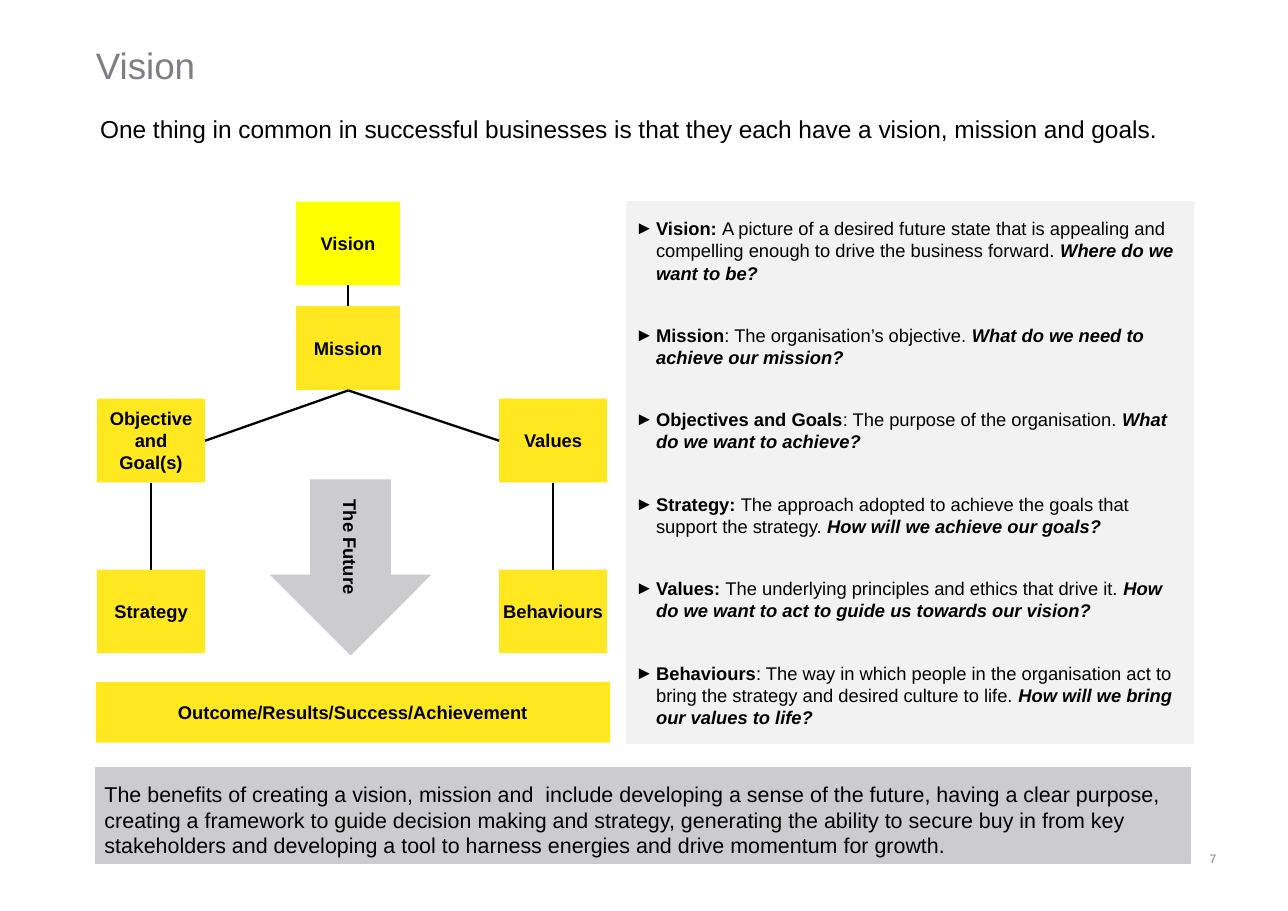
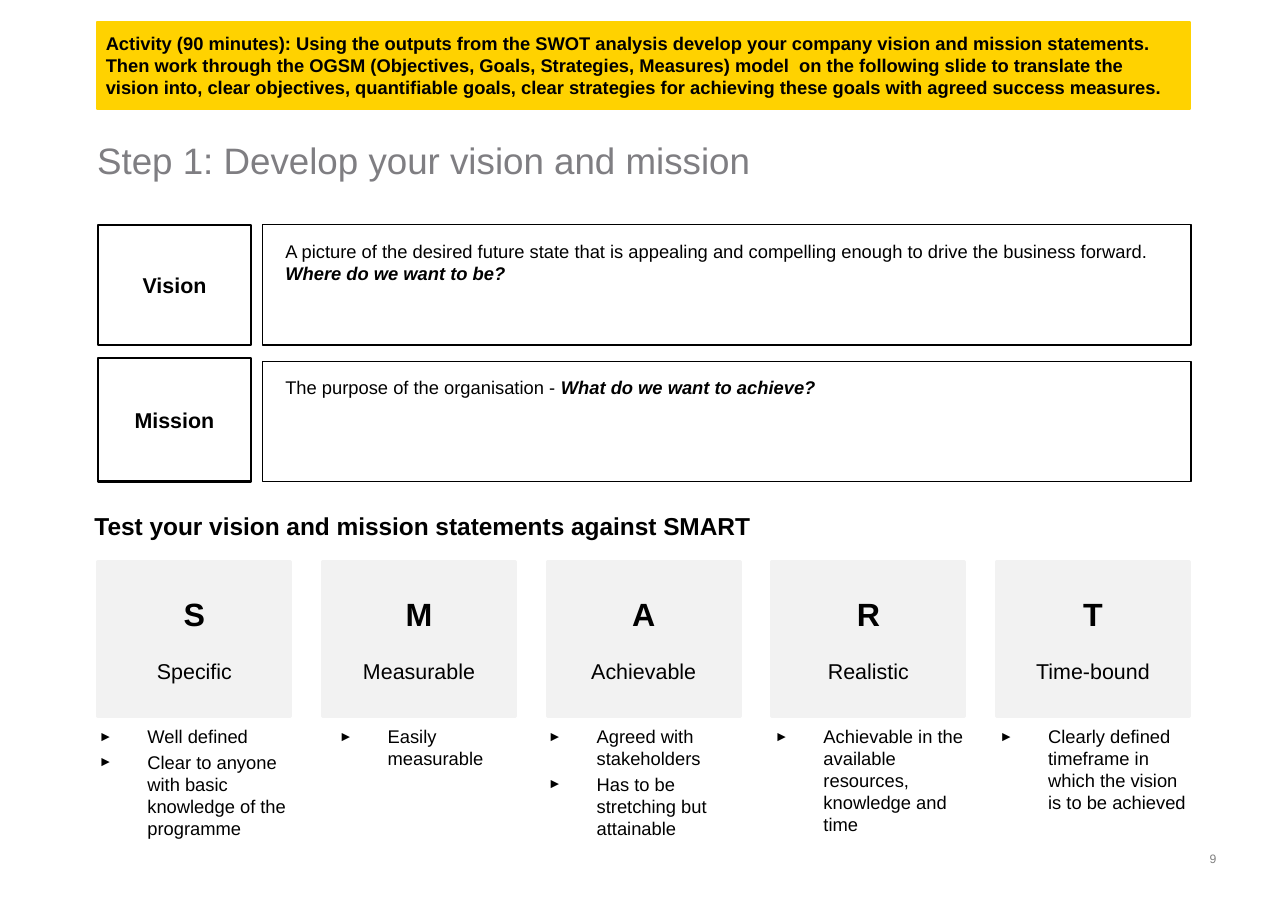
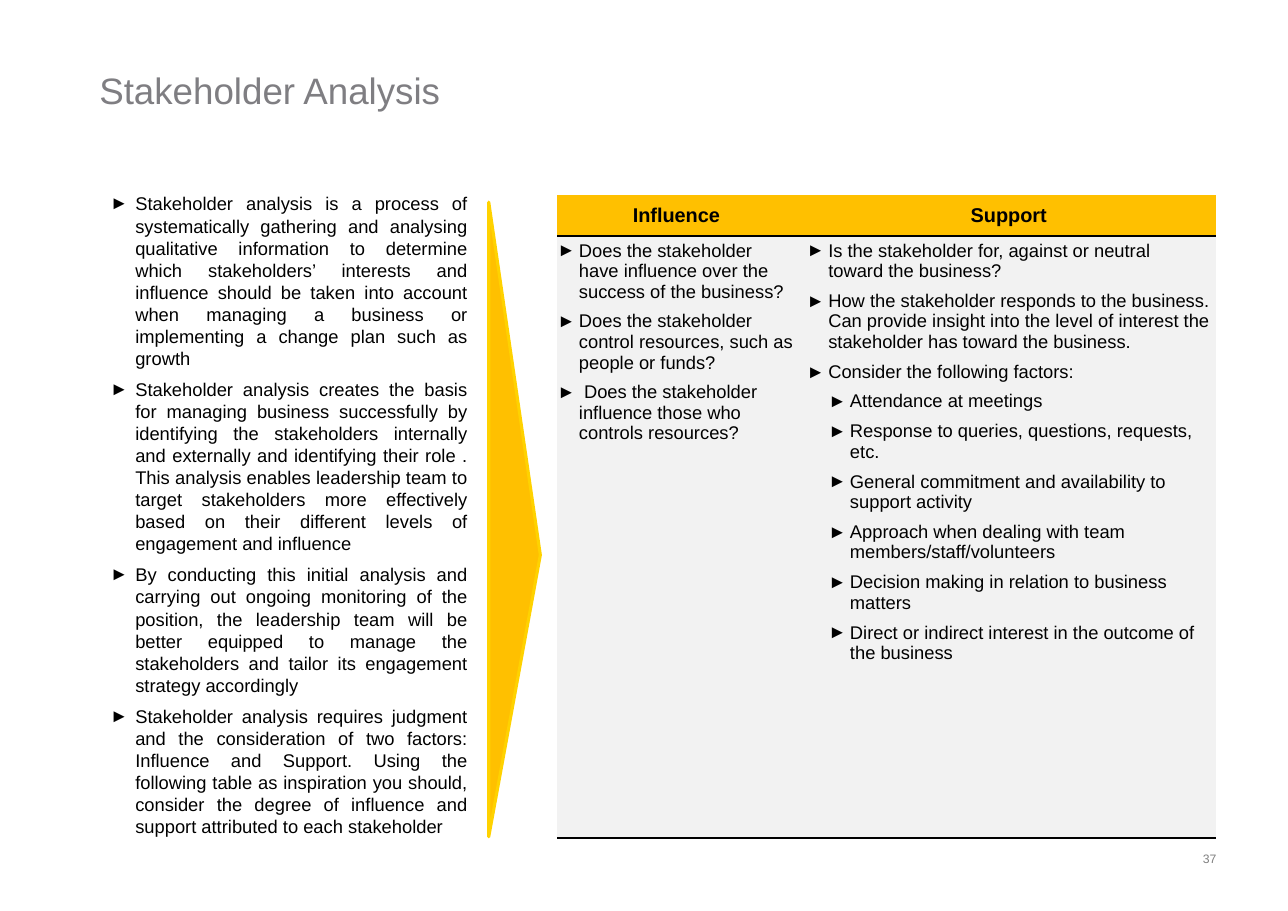
from lxml.etree import SubElement
from pptx import Presentation
from pptx.dml.color import RGBColor
from pptx.enum.shapes import MSO_CONNECTOR as LINK, MSO_SHAPE as KIND
from pptx.enum.text import MSO_ANCHOR as ANC, MSO_AUTO_SIZE as FIT, PP_ALIGN as AL
from pptx.oxml.ns import qn
from pptx.util import Cm, Pt

BLACK = RGBColor(0, 0, 0)
SLATE = RGBColor(0x7F, 0x7E, 0x82)
GREY = RGBColor(0x80, 0x80, 0x80)
SILVER = RGBColor(0xCC, 0xCB, 0xCD)
PALE = RGBColor(0xF2, 0xF2, 0xF2)
LEMON = RGBColor(0xFF, 0xFF, 0x00)
YELLOW = RGBColor(0xFF, 0xE8, 0x20)
GOLD = RGBColor(0xFF, 0xD2, 0x00)
AMBER = RGBColor(0xFF, 0xC0, 0x00)
NOSTYLE = "{2D5ABB26-0587-4C30-8999-92F81FD0307C}"


def box(slide, at, fill=None, line=None, weight=0.75, kind=KIND.RECTANGLE, inset=0.2):
    """Add a preset shape, or a text box when kind is None."""
    place = [Cm(n) for n in at]
    if kind is None:
        shape = slide.shapes.add_textbox(*place)
    else:
        shape = slide.shapes.add_shape(kind, *place)
        shape.shadow.inherit = False
    for part, color in ((shape.fill, fill), (shape.line.fill, line)):
        if color is None:
            part.background()
        else:
            part.solid()
            part.fore_color.rgb = color
    if line is not None:
        shape.line.width = Pt(weight)
    frame = shape.text_frame
    frame.word_wrap = True
    frame.margin_left = frame.margin_right = Cm(inset)
    frame.margin_top = frame.margin_bottom = Cm(inset)
    return shape


def write(frame, paras, size=12, bold=False, color=BLACK, align=AL.LEFT,
          anchor=None, gap=0, mark=None, scale=100, lead=1.2):
    """Append paragraphs; each is a string or a list of (text, style) runs."""
    if anchor is not None:
        frame.vertical_anchor = anchor
    for item in paras:
        first = not frame.text
        para = frame.paragraphs[0] if first else frame.add_paragraph()
        para.alignment = align
        para.space_before = Pt(0 if first else gap)
        para.space_after = Pt(0)
        if lead:
            para.line_spacing = Pt(size * lead)
        if mark:
            props = para._p.get_or_add_pPr()
            props.set("marL", str(Cm(mark[0])))
            props.set("indent", str(-Cm(mark[1])))
            SubElement(props, qn("a:buSzPct")).set("val", str(scale * 1000))
            SubElement(props, qn("a:buFont")).set("typeface", "Arial")
            SubElement(props, qn("a:buChar")).set("char", "►")
        for text, style in [(item, "")] if isinstance(item, str) else item:
            run = para.add_run()
            run.text = text
            font = run.font
            font.name, font.size = "Arial", Pt(size)
            font.bold, font.italic = bold or "b" in style, "i" in style
            font.color.rgb = color


deck = Presentation()
deck.slide_width, deck.slide_height = Cm(29.7), Cm(21)

# Titles and page numbers
pages = []
for title, left, top, number, layout in (
        ("Vision", 2.21, 0.3, "7", 5),
        ("Step 1: Develop your vision and mission", 2.24, 2.49, "9", 5),
        ("Stakeholder Analysis", 2.29, 0.89, "37", 1)):
    slide = deck.slides.add_slide(deck.slide_layouts[layout])
    head = slide.shapes.title
    head.left, head.top, head.width, head.height = Cm(left), Cm(top), Cm(26.4), Cm(1.7)
    frame = head.text_frame
    frame.auto_size = FIT.NONE
    frame.margin_left = frame.margin_right = frame.margin_top = frame.margin_bottom = 0
    write(frame, [title], 24, color=SLATE, anchor=ANC.BOTTOM, lead=1.08)
    foot = box(slide, (26.7, 19.58, 1.35, 0.41), kind=None, inset=0)
    write(foot.text_frame, [number], 8, color=GREY, align=AL.RIGHT, anchor=ANC.MIDDLE)
    pages.append(slide)
vision, smart, holder = pages

# Slide 1: lead sentence
intro = box(vision, (2.06, 2.49, 25.2, 0.94), kind=None, inset=0.25)
intro.text_frame.margin_top = Cm(0.13)
write(intro.text_frame, ["One thing in common in successful businesses is that they each "
                         "have a vision, mission and goals."], 16)

# Slide 1: tree
WEST, MID, EAST = 2.24, 6.83, 11.51
for text, left, top, width, height, fill in (
        ("Vision", MID, 4.65, 2.39, 1.93, LEMON),
        ("Mission", MID, 7.06, 2.39, 1.93, YELLOW),
        ("Objective\nand\nGoal(s)", WEST, 9.19, 2.49, 1.93, YELLOW),
        ("Values", EAST, 9.19, 2.49, 1.93, YELLOW),
        ("Strategy", WEST, 13.13, 2.49, 1.93, YELLOW),
        ("Behaviours", EAST, 13.13, 2.49, 1.93, YELLOW),
        ("Outcome/Results/Success/Achievement", 2.21, 15.72, 11.86, 1.4, YELLOW)):
    node = box(vision, (left, top, width, height), fill)
    node.text_frame.word_wrap = False
    write(node.text_frame, text.split("\n"), bold=True, align=AL.CENTER, anchor=ANC.MIDDLE)

for ends in ((8.03, 6.58, 8.03, 7.06), (8.03, 9, 4.73, 10.16), (8.03, 9, EAST, 10.16),
             (3.48, 11.13, 3.48, 13.13), (12.75, 11.13, 12.75, 13.13)):
    link = vision.shapes.add_connector(LINK.STRAIGHT, *[Cm(n) for n in ends])
    link.line.color.rgb = BLACK
    link.line.width = Pt(1.5)
    SubElement(link._element.spPr, qn("a:effectLst"))

arrow = box(vision, (6.22, 11.05, 3.73, 4.06), SILVER, kind=KIND.DOWN_ARROW)
arrow.text_frame._txBody.bodyPr.set("vert", "vert")
write(arrow.text_frame, ["The Future"], bold=True, align=AL.CENTER, anchor=ANC.MIDDLE)

# Slide 1: definitions and benefits
terms = box(vision, (14.45, 4.65, 13.06, 12.5), PALE, PALE)
write(terms.text_frame, [[(term, "b"), (text, ""), (ask, "bi")] for term, text, ask in (
    ("Vision: ", "A picture of a desired future state that is appealing and compelling "
     "enough to drive the business forward. ", "Where do we want to be?"),
    ("Mission", ": The organisation’s objective. ",
     "What do we need to achieve our mission?"),
    ("Objectives and Goals", ": The purpose of the organisation. ",
     "What do we want to achieve?"),
    ("Strategy: ", "The approach adopted to achieve the goals that support the strategy. ",
     "How will we achieve our goals?"),
    ("Values: ", "The underlying principles and ethics that drive it. ",
     "How do we want to act to guide us towards our vision?"),
    ("Behaviours", ": The way in which people in the organisation act to bring the "
     "strategy and desired culture to life. ", "How will we bring our values to life?"),
)], anchor=ANC.MIDDLE, gap=26.4, mark=(0.48, 0.48))

gains = box(vision, (2.21, 17.7, 25.25, 2.21), SILVER, SILVER)
gains.text_frame.margin_top = Cm(0.37)
write(gains.text_frame, [
    "The benefits of creating a vision, mission and  include developing a sense of the "
    "future, having a clear purpose, creating a framework to guide decision making and "
    "strategy, generating the ability to secure buy in from key stakeholders and "
    "developing a tool to harness energies and drive momentum for growth."],
    14, anchor=ANC.MIDDLE)

# Slide 2: activity band
task = box(smart, (2.24, 0.51, 25.2, 2), GOLD, GOLD, 1)
write(task.text_frame, [
    "Activity (90 minutes): Using the outputs from the SWOT analysis develop your company "
    "vision and mission statements. Then work through the OGSM (Objectives, Goals, "
    "Strategies, Measures) model  on the following slide to translate the vision into, "
    "clear objectives, quantifiable goals, clear strategies for achieving these goals with "
    "agreed success measures."], bold=True, anchor=ANC.MIDDLE)

# Slide 2: statements
for name, top, height, drop, text, ask in (
        ("Vision", 5.18, 2.77, 0, "A picture of the desired future state that is appealing "
         "and compelling enough to drive the business forward. ", "Where do we want to be?"),
        ("Mission", 8.25, 2.85, 0.08, "The purpose of the organisation - ",
         "What do we want to achieve?")):
    label = box(smart, (2.26, top, 3.53, height), line=BLACK, weight=1.5)
    write(label.text_frame, [name], 14, True, align=AL.CENTER, anchor=ANC.MIDDLE)
    field = box(smart, (6.05, top + drop, 21.41, 2.77), line=BLACK, weight=1, inset=0.53)
    field.text_frame.margin_top = Cm(0.35)
    write(field.text_frame, [[(text, ""), (ask, "bi")]], anchor=ANC.TOP)

# Slide 2: SMART columns
test = box(smart, (2.18, 11.61, 27, 0.84), kind=None, inset=0)
write(test.text_frame, ["Test your vision and mission statements against SMART"], 16, True,
      anchor=ANC.BOTTOM, lead=1.08)
for i, (word, shift, points) in enumerate((
        ("Specific", 0, ["Well defined",
                         "Clear to anyone with basic knowledge of the programme"]),
        ("Measurable", 0.36, ["Easily measurable"]),
        ("Achievable", 0, ["Agreed with stakeholders",
                           "Has to be stretching but attainable"]),
        ("Realistic", 0.05, ["Achievable in the available resources, knowledge and time"]),
        ("Time-bound", 0.05,
         ["Clearly defined timeframe in which the vision is to be achieved"]))):
    left = 2.26 + 5.18 * i
    card = box(smart, (left, 12.95, 4.45, 3.56), PALE, PALE, 2)
    write(card.text_frame, [word[0]], 21, True, align=AL.CENTER, anchor=ANC.MIDDLE)
    write(card.text_frame, [word], 14, align=AL.CENTER, gap=16.8)
    notes = box(smart, (left + shift, 16.72, 4.45, 2.74), kind=None, inset=0)
    write(notes.text_frame, points, gap=2.4, mark=(1.14, 1.12), scale=75)

# Slide 3: body list
body = holder.placeholders[1]
body.left, body.top, body.width, body.height = Cm(2.26), Cm(4.29), Cm(8.81), Cm(15.6)
frame = body.text_frame
frame.auto_size = FIT.NONE
frame.margin_left = frame.margin_right = Cm(0.28)
frame.margin_top = frame.margin_bottom = Cm(0.15)
write(frame, [
    "Stakeholder analysis is a process of systematically gathering and analysing "
    "qualitative information to determine which stakeholders’ interests and influence "
    "should be taken into account when managing a business or implementing a change plan "
    "such as growth",
    "Stakeholder analysis creates the basis for managing business successfully by "
    "identifying the stakeholders internally and externally and identifying their role . "
    "This analysis enables leadership team to target stakeholders more effectively based "
    "on their different levels of engagement and influence",
    "By conducting this initial analysis and carrying out ongoing monitoring of the "
    "position, the leadership team will be better equipped to manage the stakeholders and "
    "tailor its engagement strategy accordingly",
    "Stakeholder analysis requires judgment and the consideration of two factors: "
    "Influence and Support. Using the following table as inspiration you should, consider "
    "the degree of influence and support attributed to each stakeholder"],
    align=AL.JUSTIFY, anchor=ANC.TOP, gap=6, mark=(0.58, 0.58))

# Slide 3: pointer
wedge = box(holder, (4.55, 11.38, 14.63, 1.19), AMBER, GOLD, 2, KIND.ISOSCELES_TRIANGLE)
wedge.rotation = 90
wedge.adjustments[0] = 0.556

# Slide 3: table
grid = holder.shapes.add_table(2, 2, Cm(12.85), Cm(4.5), Cm(15.2), Cm(14.81)).table
grid.first_row = grid.horz_banding = False
grid._tbl.tblPr.find(qn("a:tableStyleId")).text = NOSTYLE
for row, height in zip(grid.rows, (0.94, 13.87)):
    row.height = Cm(height)
for col, width in zip(grid.columns, (5.62, 9.58)):
    col.width = Cm(width)

asks = (["Does the stakeholder have influence over the success of the business?",
         "Does the stakeholder control resources, such as people or funds?",
         " Does the stakeholder influence those who controls resources?"],
        ["Is the stakeholder for, against or neutral toward the business?",
         "How the stakeholder responds to the business. Can provide insight into the level "
         "of interest the stakeholder has toward the business.",
         "Consider the following factors:"])
for i, name in enumerate(("Influence", "Support")):
    top, low = grid.cell(0, i), grid.cell(1, i)
    for cell, fill in ((top, AMBER), (low, PALE)):
        cell.fill.solid()
        cell.fill.fore_color.rgb = fill
        cell.margin_left, cell.margin_right = Cm(0.13 * i), Cm(0.13)
        cell.margin_top = cell.margin_bottom = Cm(0.1)
        props = cell._tc.get_or_add_tcPr()
        edge = SubElement(props, qn("a:lnB"), w=str(Pt(1.5)))
        ink = SubElement(edge, qn("a:solidFill"))
        SubElement(ink, qn("a:srgbClr"), val=str(BLACK))
        props.insert(0, edge)
    top.vertical_anchor, low.vertical_anchor = ANC.MIDDLE, ANC.TOP
    write(top.text_frame, [name], 13, True, align=AL.CENTER, lead=None)
    write(low.text_frame, asks[i], gap=6, mark=(0.5, 0.5), lead=None)

write(grid.cell(1, 1).text_frame, [
    "Attendance at meetings",
    "Response to queries, questions, requests, etc.",
    "General commitment and availability to support activity",
    "Approach when dealing with team members/staff/volunteers",
    "Decision making in relation to business matters",
    "Direct or indirect interest in the outcome of the business"],
    gap=6, mark=(1, 0.5), lead=None)

deck.save("out.pptx")
